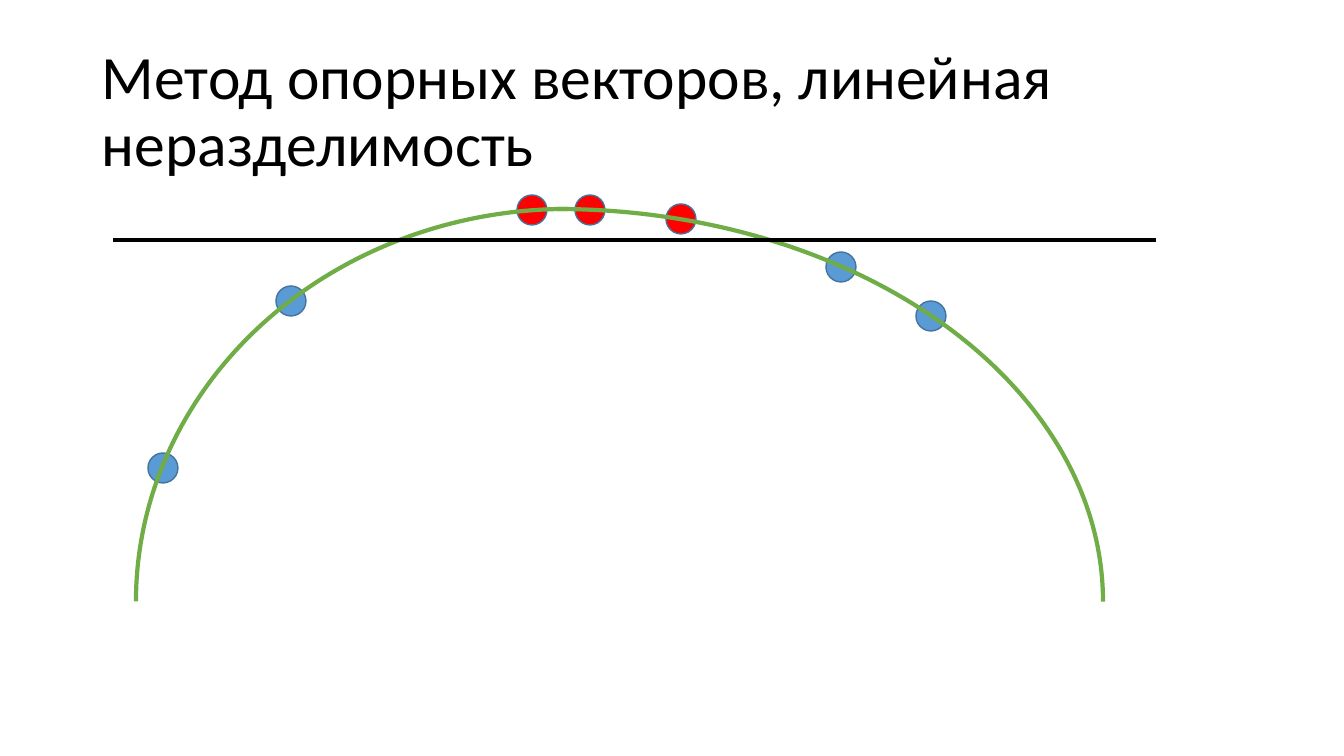
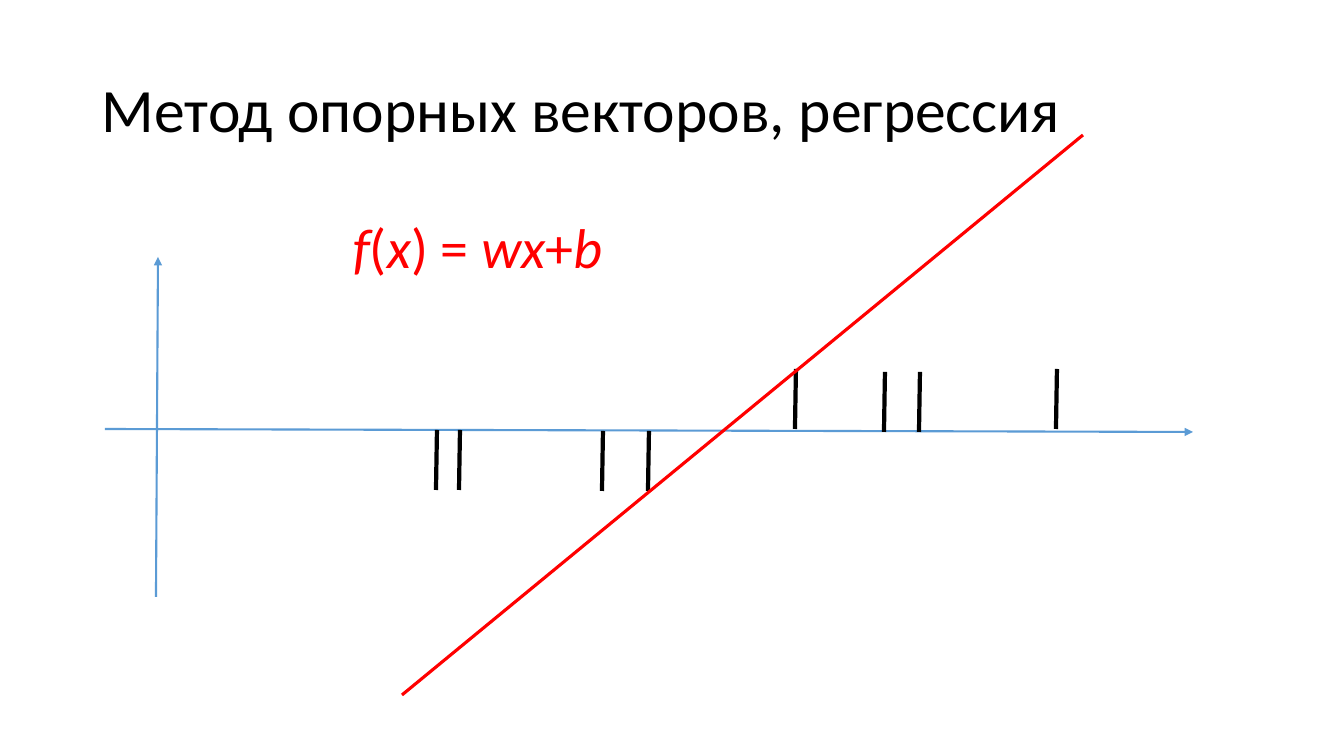
from dataclasses import dataclass

from lxml import etree
from pptx import Presentation
from pptx.dml.color import RGBColor
from pptx.enum import shapes, text
from pptx.oxml.ns import qn
from pptx.util import Emu, Pt

EMU_PER_PIXEL = 914400 / 100.8


@dataclass(frozen=True)
class Theme:
    """Colours, font and sizes shared by the slides."""
    font: str = "Calibri"
    title_size: int = 44
    formula_size: int = 40
    black: str = "000000"
    red: str = "FF0000"
    blue: str = "5B9BD5"
    outline: str = "43739E"
    green: str = "70AD47"
    thick: float = 3
    medium: float = 2.25
    axis: float = 1.5
    thin: float = 1


THEME = Theme()
DOT = 30
TICK_HEIGHT = 60
TICK_LEAN = 1


def px(*lengths):
    """Turn pixel lengths into EMU."""
    return [Emu(round(length * EMU_PER_PIXEL)) for length in lengths]


def style_line(line, color, width):
    """Set the colour and width of a line."""
    line.color.rgb = RGBColor.from_string(color)
    line.width = Pt(width)


def add_text(slide, box, runs, *, size, color=THEME.black, spacing=None,
             anchor=text.MSO_ANCHOR.TOP):
    """Add one paragraph made of (words, italic) runs."""
    frame = slide.shapes.add_textbox(*px(*box)).text_frame
    frame.word_wrap = True
    frame.vertical_anchor = anchor
    paragraph = frame.paragraphs[0]
    paragraph.line_spacing = spacing
    for words, italic in runs:
        run = paragraph.add_run()
        run.text = words
        run.font.name = THEME.font
        run.font.size = Pt(size)
        run.font.italic = italic
        run.font.color.rgb = RGBColor.from_string(color)


def add_title(slide, words):
    """Add the slide title."""
    add_text(slide, (92, 40, 1159, 146), [(words, False)],
             size=THEME.title_size, spacing=0.9,
             anchor=text.MSO_ANCHOR.MIDDLE)


def add_dot(slide, center, color):
    """Add a data point around its centre."""
    x, y = center
    dot = slide.shapes.add_shape(
        shapes.MSO_SHAPE.OVAL, *px(x - DOT / 2, y - DOT / 2, DOT, DOT))
    dot.shadow.inherit = False
    dot.fill.solid()
    dot.fill.fore_color.rgb = RGBColor.from_string(color)
    style_line(dot.line, THEME.outline, THEME.thin)


def add_arc(slide, box, start, end):
    """Add an arc between two angles, in degrees clockwise from the right."""
    arc = slide.shapes.add_shape(shapes.MSO_SHAPE.ARC, *px(*box))
    arc.shadow.inherit = False
    arc.fill.background()
    # Adjustments are scaled by 100000 and angles by 60000 per degree.
    arc.adjustments[0] = start * 0.6
    arc.adjustments[1] = end * 0.6
    style_line(arc.line, THEME.green, THEME.thick)


def add_line(slide, start, end, color, width, arrow=False):
    """Add a straight line, with an arrowhead at its end if asked."""
    line = slide.shapes.add_connector(
        shapes.MSO_CONNECTOR.STRAIGHT, *px(*start, *end))
    style_line(line.line, color, width)
    properties = line._element.spPr
    if arrow:
        head = etree.SubElement(properties.find(qn("a:ln")), qn("a:tailEnd"))
        head.set("type", "triangle")
    etree.SubElement(properties, qn("a:effectLst"))


def build_inseparability(slide):
    """Show points on a curve that a straight line cuts into classes."""
    add_title(slide, "Метод опорных векторов, линейная неразделимость")
    classes = {
        THEME.blue: [(163, 468), (291, 301), (931, 316), (841, 267)],
        THEME.red: [(532, 210), (590, 210), (681, 219)],
    }
    for color, centers in classes.items():
        for center in centers:
            add_dot(slide, center, color)
    add_arc(slide, (136, 209, 863, 785), 180, 270)
    add_arc(slide, (11, 209, 1092, 785), 270, 0)
    add_line(slide, (113, 240), (1156, 240), THEME.black, THEME.thick)


def build_regression(slide):
    """Show the regression line over its axes and samples."""
    add_title(slide, "Метод опорных векторов, регрессия")
    for start, end in [((105, 429), (1193, 432)), ((156, 597), (158, 257))]:
        add_line(slide, start, end, THEME.blue, THEME.axis, arrow=True)
    tick_feet = [(795, 429), (884, 432), (919, 432), (1056, 429),
                 (648, 491), (602, 491), (459, 490), (436, 490)]
    for x, y in tick_feet:
        add_line(slide, (x, y), (x + TICK_LEAN, y - TICK_HEIGHT),
                 THEME.black, THEME.thick)
    add_line(slide, (1083, 135), (402, 695), THEME.red, THEME.medium)
    formula = [("f", True), ("(", False), ("x", True), (") = ", False),
               ("wx", True), ("+", False), ("b", True)]
    add_text(slide, (343, 208, 280, 78), formula,
             size=THEME.formula_size, color=THEME.red)


def main():
    """Build both slides and save them."""
    deck = Presentation()
    deck.slide_width, deck.slide_height = px(1344, 756)
    blank = deck.slide_layouts[6]
    for build in (build_inseparability, build_regression):
        build(deck.slides.add_slide(blank))
    deck.save("out.pptx")


main()
